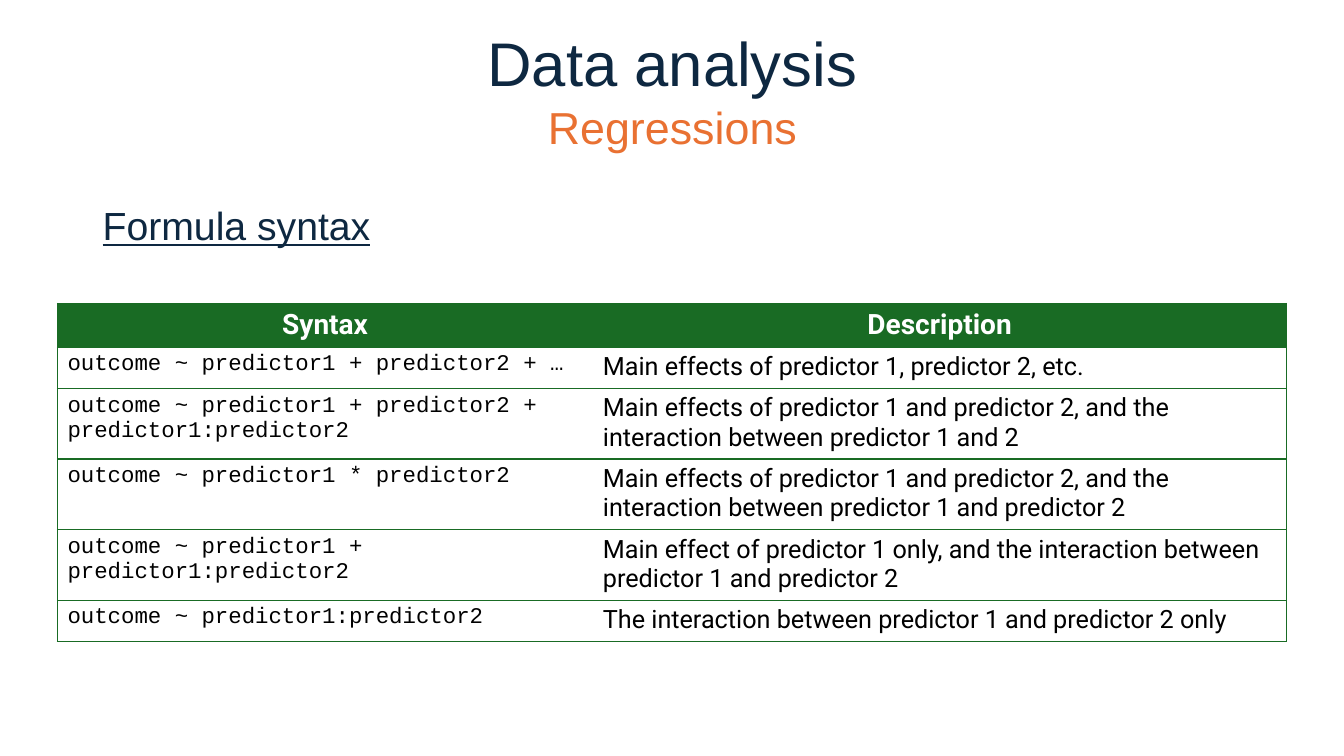
from lxml import etree
from pptx import Presentation
from pptx.dml.color import RGBColor
from pptx.enum import text
from pptx.oxml import ns
from pptx.util import Inches, Pt

NAVY = RGBColor(0x0E, 0x28, 0x41)
ORANGE = RGBColor(0xE9, 0x71, 0x32)
GREEN = RGBColor(0x19, 0x6B, 0x24)
WHITE = RGBColor(0xFF, 0xFF, 0xFF)
BLACK = RGBColor(0x00, 0x00, 0x00)
NO_STYLE = "{2D5ABB26-0587-4C30-8999-92F81FD0307C}"


def write(tf, words, size, color, font="Arial", bold=False, underline=False,
          align=text.PP_ALIGN.LEFT, spacing=None, before=None):
    tf.word_wrap = True
    p = tf.paragraphs[0]
    p.alignment = align
    p.line_spacing = spacing
    p.space_before = before
    r = p.add_run()
    r.text = words
    r.font.size = Pt(size)
    r.font.name = font
    r.font.bold = bold
    r.font.underline = underline
    r.font.color.rgb = color


def add_border(cell, side):
    tc_pr = cell._tc.get_or_add_tcPr()
    ln = etree.SubElement(tc_pr, ns.qn(f"a:ln{side}"), w=str(Pt(1)))
    fill = etree.SubElement(ln, ns.qn("a:solidFill"))
    etree.SubElement(fill, ns.qn("a:srgbClr"), val=str(GREEN))


prs = Presentation()
prs.slide_width = Inches(13.33)
prs.slide_height = Inches(7.5)
s = prs.slides.add_slide(prs.slide_layouts[6])

# Section heading
heading = s.shapes.add_textbox(Inches(0.92), Inches(2), Inches(11.5), Inches(0.8))
write(heading.text_frame, "Formula syntax", 28, NAVY, underline=True,
      spacing=0.9, before=Pt(10))

# Formula table
rows = [
    ("Syntax", "Description"),
    ("outcome ~ predictor1 + predictor2 + …",
     "Main effects of predictor 1, predictor 2, etc."),
    ("outcome ~ predictor1 + predictor2 + predictor1:predictor2",
     "Main effects of predictor 1 and predictor 2, and the interaction "
     "between predictor 1 and 2"),
    ("outcome ~ predictor1 * predictor2",
     "Main effects of predictor 1 and predictor 2, and the interaction "
     "between predictor 1 and predictor 2"),
    ("outcome ~ predictor1 + predictor1:predictor2",
     "Main effect of predictor 1 only, and the interaction between "
     "predictor 1 and predictor 2"),
    ("outcome ~ predictor1:predictor2",
     "The interaction between predictor 1 and predictor 2 only"),
]
row_height = Inches(0.41)
frame = s.shapes.add_table(len(rows), 2, Inches(0.57), Inches(3.01),
                           Inches(12.19), row_height * len(rows))
table = frame.table
table.horz_banding = False
table._tbl.tblPr.find(ns.qn("a:tableStyleId")).text = NO_STYLE
for column, width in zip(table.columns, (5.31, 6.88)):
    column.width = Inches(width)

for i, row in enumerate(rows):
    table.rows[i].height = row_height
    for j, words in enumerate(row):
        cell = table.cell(i, j)
        for side in ("LTB", "RTB")[j]:
            add_border(cell, side)
        if i == 0:
            cell.fill.solid()
            cell.fill.fore_color.rgb = GREEN
            write(cell.text_frame, words, 20, WHITE, "Roboto", bold=True,
                  align=text.PP_ALIGN.CENTER)
        else:
            cell.fill.background()
            size, font = ((16, "Courier New"), (18, "Roboto"))[j]
            write(cell.text_frame, words, size, BLACK, font)

# Title and subtitle
for words, top, size, color in (("Data analysis", 0.21, 44, NAVY),
                                ("Regressions", 0.83, 32, ORANGE)):
    sp = s.shapes.add_textbox(Inches(0.92), Inches(top), Inches(11.5), Inches(0.91))
    sp.text_frame.vertical_anchor = text.MSO_ANCHOR.MIDDLE
    write(sp.text_frame, words, size, color, align=text.PP_ALIGN.CENTER, spacing=0.9)

prs.save("out.pptx")
